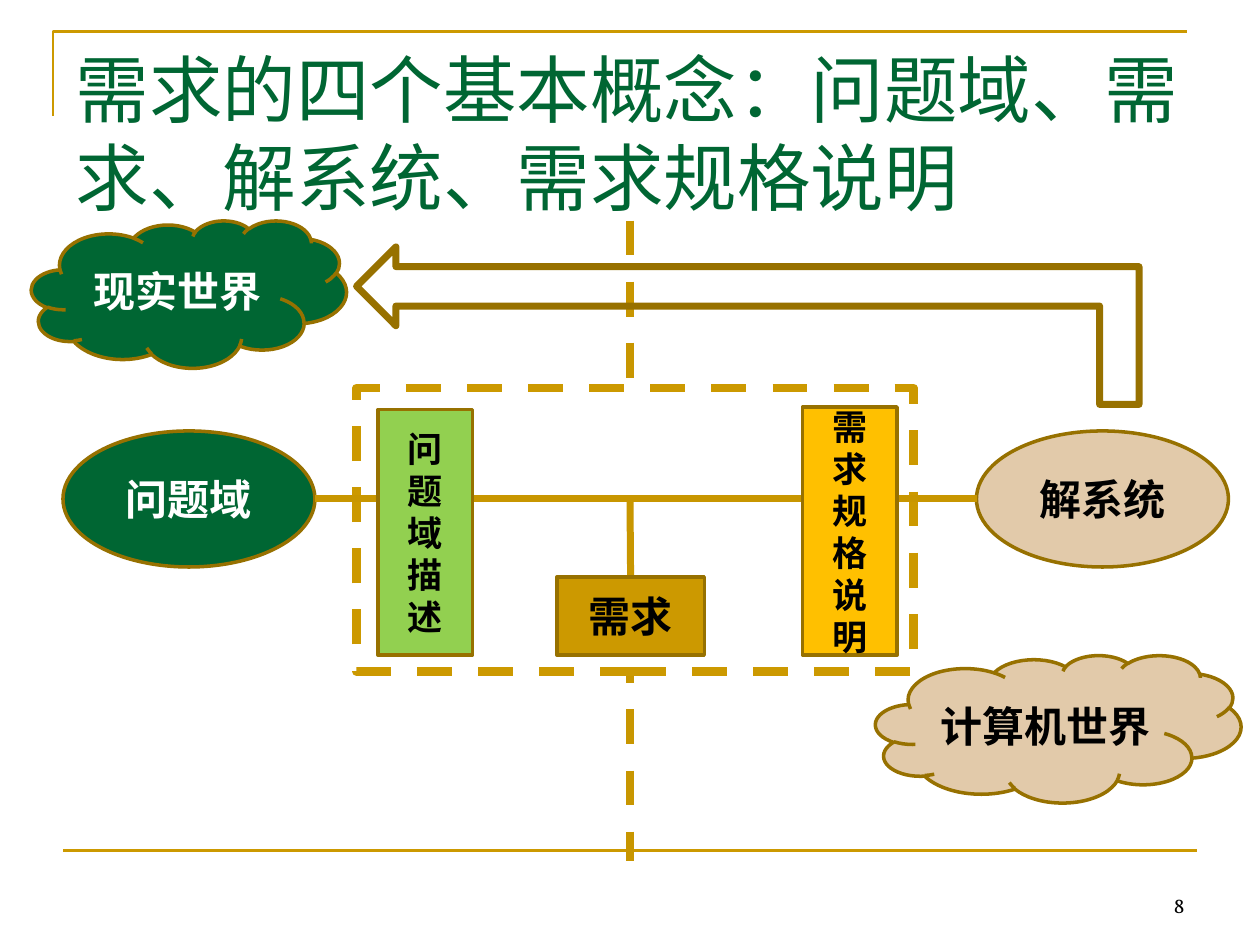
from pptx import Presentation
from pptx.dml.color import RGBColor
from pptx.enum import dml, shapes, text
from pptx.oxml import ns
from pptx.util import Inches, Pt
from lxml import etree

GREEN = RGBColor(0x00, 0x66, 0x33)
TAN = RGBColor(0xE2, 0xCA, 0xAA)
LIME = RGBColor(0x92, 0xD0, 0x50)
AMBER = RGBColor(0xFF, 0xC0, 0x00)
GOLD = RGBColor(0xCC, 0x99, 0x00)
LINK = RGBColor(0xC8, 0x96, 0x00)
BROWN = RGBColor(0x97, 0x71, 0x00)
WHITE = RGBColor(0xFF, 0xFF, 0xFF)
BLACK = RGBColor(0x00, 0x00, 0x00)

KIND = shapes.MSO_SHAPE
ALIGN = text.PP_ALIGN
ANCHOR = text.MSO_ANCHOR

TITLE = "需求的四个基本概念：问题域、需求、解系统、需求规格说明"
PAGE = "8"
WORLDS = [
    ("现实世界", KIND.CLOUD, (0.25, 1.75, 2.5, 1.17), GREEN, WHITE, 24),
    ("计算机世界", KIND.CLOUD, (6.95, 5.2, 2.9, 1.17), TAN, BLACK, 24),
    ("问题域", KIND.OVAL, (0.5, 3.42, 2, 1.08), GREEN, WHITE, 24),
    ("解系统", KIND.OVAL, (7.75, 3.42, 2, 1.08), TAN, BLACK, 24),
]
DOCUMENTS = [
    ("问题域描述", KIND.RECTANGLE, (3, 3.25, 0.75, 1.95), LIME, BLACK, 20),
    ("需求规格说明", KIND.RECTANGLE, (6.37, 3.23, 0.75, 1.97), AMBER, BLACK, 20),
    ("需求", KIND.RECTANGLE, (4.42, 4.58, 1.17, 0.62), GOLD, BLACK, 24),
]
MIDDLE_X, LINK_Y = 5, 3.96


def write(frame, words, size, color, font="Arial", bold=False,
          align=ALIGN.CENTER, anchor=ANCHOR.MIDDLE):
    frame.word_wrap = True
    frame.auto_size = text.MSO_AUTO_SIZE.NONE
    frame.vertical_anchor = anchor
    paragraph = frame.paragraphs[0]
    paragraph.alignment = align
    run = paragraph.add_run()
    run.text = words
    run.font.size = Pt(size)
    run.font.bold = bold
    run.font.name = font
    run.font.color.rgb = color
    east_asian = etree.SubElement(run.font._element, ns.qn("a:ea"))
    east_asian.set("typeface", font)


def stroke(line, color, width, dashed=False):
    line.color.rgb = color
    line.width = Pt(width)
    if dashed:
        line.dash_style = dml.MSO_LINE.DASH


def add_shape(slide, kind, box, fill, color, width, dashed=False):
    shape = slide.shapes.add_shape(kind, *map(Inches, box))
    shape.shadow.inherit = False
    if fill is None:
        shape.fill.background()
    else:
        shape.fill.solid()
        shape.fill.fore_color.rgb = fill
    stroke(shape.line, color, width, dashed)
    return shape


def add_line(slide, start, end, color, width, dashed=False):
    line = slide.shapes.add_connector(
        shapes.MSO_CONNECTOR.STRAIGHT, *map(Inches, start + end))
    stroke(line.line, color, width, dashed)
    etree.SubElement(line._element.spPr, ns.qn("a:effectLst"))
    return line


def add_labelled(slide, items):
    for words, kind, box, fill, color, size in items:
        shape = add_shape(slide, kind, box, fill, BROWN, 2)
        write(shape.text_frame, words, size, color, bold=True)
    return shape


def main():
    deck = Presentation()
    deck.slide_width, deck.slide_height = Inches(10), Inches(7.5)
    slide = deck.slides.add_slide(deck.slide_layouts[5])

    title = slide.shapes.title
    title.left, title.top, title.width, title.height = map(
        Inches, (0.5, 0.3, 9, 1.25))
    write(title.text_frame, TITLE, 42, GREEN, font="Vollkorn",
          align=ALIGN.LEFT, anchor=ANCHOR.TOP)

    corner = slide.shapes.build_freeform(Inches(0.42), Inches(0.92))
    corner.add_line_segments(
        [(Inches(0.42), Inches(0.25)), (Inches(9.42), Inches(0.25))], close=False)
    frame_line = corner.convert_to_shape()
    frame_line.shadow.inherit = False
    frame_line.fill.background()
    stroke(frame_line.line, GOLD, 1.5)
    add_line(slide, (0.5, 6.75), (9.5, 6.75), GOLD, 1.5)

    page = slide.shapes.add_textbox(*map(Inches, (7.17, 6.83, 2.33, 0.5)))
    write(page.text_frame, PAGE, 12, BLACK, font="Vollkorn",
          align=ALIGN.RIGHT, anchor=ANCHOR.BOTTOM)

    add_line(slide, (MIDDLE_X, 1.75), (MIDDLE_X, 6.83), LINK, 5, dashed=True)
    add_shape(slide, KIND.RECTANGLE, (2.83, 3.08, 4.42, 2.25), WHITE, GOLD, 5,
              dashed=True)
    add_labelled(slide, WORLDS)
    add_line(slide, (2.5, LINK_Y), (7.75, LINK_Y), LINK, 4)
    branch = add_line(slide, (MIDDLE_X, LINK_Y), (MIDDLE_X, 4.58), LINK, 4)
    requirement = add_labelled(slide, DOCUMENTS)
    branch.end_connect(requirement, 0)

    feedback = add_shape(slide, KIND.BENT_UP_ARROW, (5.31, -0.52, 1.25, 6.21),
                         None, BROWN, 4)
    feedback.rotation = 270

    deck.save("out.pptx")


if __name__ == "__main__":
    main()
